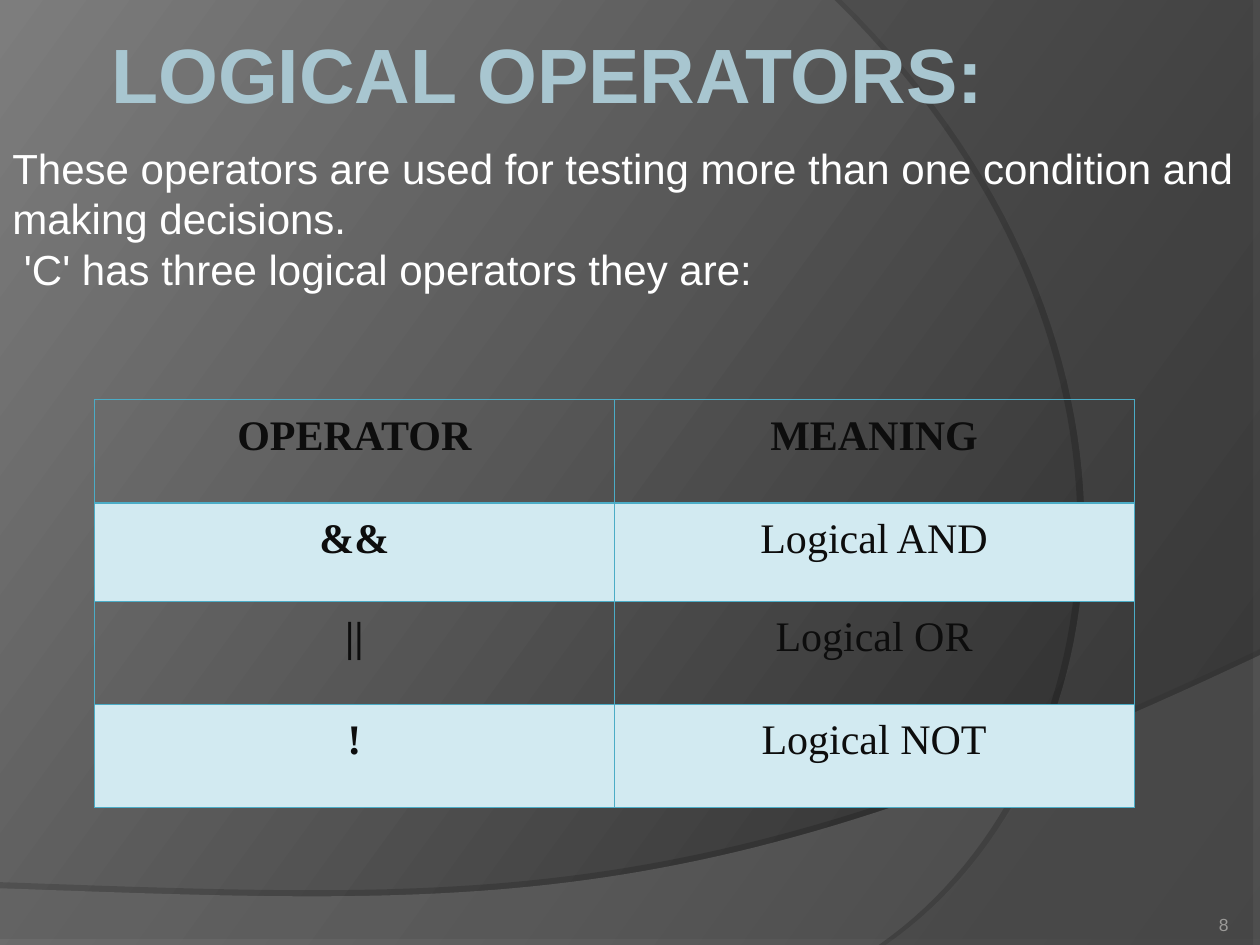
import pptx
import pptx.util
import pptx.dml.color
import pptx.enum.text
import pptx.oxml
import pptx.oxml.ns
from lxml import etree

Inches = pptx.util.Inches
Pt = pptx.util.Pt
Align = pptx.enum.text.PP_ALIGN
qn = pptx.oxml.ns.qn
COLORS = {
    "dark": "242424", "light": "7D7D7D", "wave": "7C7C7C", "arc": "595959",
    "title": "A8C6D0", "white": "FFFFFF", "ink": "0D0D0D",
    "band": "D2EAF1", "edge": "4BACC6", "number": "9B9A98", "black": "000000",
}


def rgb(name):
    return pptx.dml.color.RGBColor.from_string(COLORS[name])


def add_text(box, text, size, color, align, bold=False, bottom=0, sides=(0.1, 0.05)):
    frame = slide.shapes.add_textbox(*[Inches(n) for n in box]).text_frame
    frame.word_wrap = True
    frame.vertical_anchor = pptx.enum.text.MSO_ANCHOR.BOTTOM
    frame.margin_left, frame.margin_right = [Inches(n) for n in sides]
    frame.margin_top, frame.margin_bottom = 0, Inches(bottom)
    frame.text = text
    para = frame.paragraphs[0]
    para.alignment = align
    para.font.name, para.font.size, para.font.bold = "Arial", Pt(size), bold
    para.font.color.rgb = rgb(color)


deck = pptx.Presentation()
deck.slide_width, deck.slide_height = Inches(10), Inches(7.5)
slide = deck.slides.add_slide(deck.slide_layouts[6])

# Background gradient, lightest at top left
fill = slide.background.fill
fill.gradient()
fill.gradient_angle = 144
for stop, name in zip(fill.gradient_stops, ("dark", "light")):
    stop.color.rgb = rgb(name)

# Curved panels: corners, then a Bezier curve closing the outline
# corners, curve, colour, opacity, shadow opacity, distance, direction
panels = [
    ([(0, 7.5), (10, 7.5)],
     [(10, 5.2), (5.59, 7.29), (3.91, 7.19), (0, 7.05)], "wave", 45, 35, 3.5, 270),
    ([(10, 0), (10, 7.5)],
     [(7.03, 7.5), (8.91, 6.19), (9.47, 2.75), (6.68, 0)], "arc", 40, 45, 4, 180),
]
steps = 60
for points, curve, color, alpha, shade, dist, angle in panels:
    for i in range(steps + 1):
        t = i / steps
        parts = ((1 - t) ** 3, 3 * t * (1 - t) ** 2, 3 * t * t * (1 - t), t ** 3)
        points.append([sum(w * p[axis] for w, p in zip(parts, curve)) for axis in (0, 1)])
    spots = [(Inches(x), Inches(y)) for x, y in points]
    path = slide.shapes.build_freeform(*spots[0])
    path.add_line_segments(spots[1:], close=True)
    panel = path.convert_to_shape()
    panel.fill.solid()
    panel.fill.fore_color.rgb = rgb(color)
    panel.line.fill.background()
    panel.shadow.inherit = False
    props = panel.element.spPr
    tint = props.find(qn("a:solidFill")).find(qn("a:srgbClr"))
    etree.SubElement(tint, qn("a:alpha"), val=str(alpha * 1000))
    cast = etree.SubElement(
        props.find(qn("a:effectLst")), qn("a:outerShdw"), blurRad="0",
        dist=str(Pt(dist)), dir=str(angle * 60000), algn="ctr", rotWithShape="0")
    tone = etree.SubElement(cast, qn("a:srgbClr"), val=COLORS["black"])
    etree.SubElement(tone, qn("a:alpha"), val=str(shade * 1000))

# Title
add_text((0.78, 0, 7.09, 0.94), "LOGICAL OPERATORS:", 44, "title", Align.CENTER, bold=True)

# Table of operators
rows = [("OPERATOR", "MEANING"), ("&&", "Logical AND"),
        ("||", "Logical OR"), ("!", "Logical NOT")]
table = slide.shapes.add_table(
    4, 2, Inches(0.75), Inches(3.17), Inches(8.25), Inches(3.24)).table
table.horz_banding = table.first_row = False
for row, high in zip(table.rows, (0.82, 0.78, 0.82, 0.82)):
    row.height = Inches(high)
for r, row in enumerate(rows):
    for c, text in enumerate(row):
        cell = table.cell(r, c)
        cell.margin_left = cell.margin_right = Inches(0.07)
        cell.margin_top = cell.margin_bottom = Inches(0.05)
        cell.text = text
        para = cell.text_frame.paragraphs[0]
        para.alignment, para.line_spacing = Align.CENTER, 1.15
        para.font.name, para.font.size = "Times New Roman", Pt(24)
        para.font.bold = r == 0 or c == 0
        para.font.color.rgb = rgb("ink")
        # The rule under the header is heavier
        for side in "LRTB":
            thick = (r, side) in ((0, "B"), (1, "T"))
            line = etree.SubElement(cell._tc.get_or_add_tcPr(), qn("a:ln" + side),
                                    w=str(Pt(1.08 if thick else 0.45)))
            paint = etree.SubElement(line, qn("a:solidFill"))
            etree.SubElement(paint, qn("a:srgbClr"), val=COLORS["edge"])
        if r % 2:
            cell.fill.solid()
            cell.fill.fore_color.rgb = rgb("band")
        else:
            cell.fill.background()

# Introduction
intro = ("These operators are used for testing more than one condition and "
         "making decisions.\v 'C' has three logical operators they are:")
add_text((0, 0.94, 10, 2.19), intro, 24, "white", Align.LEFT, bottom=0.8)

# Slide number
add_text((8.92, 7.02, 0.83, 0.4), "8", 10, "number", Align.RIGHT, sides=(0, 0))

deck.save("out.pptx")
